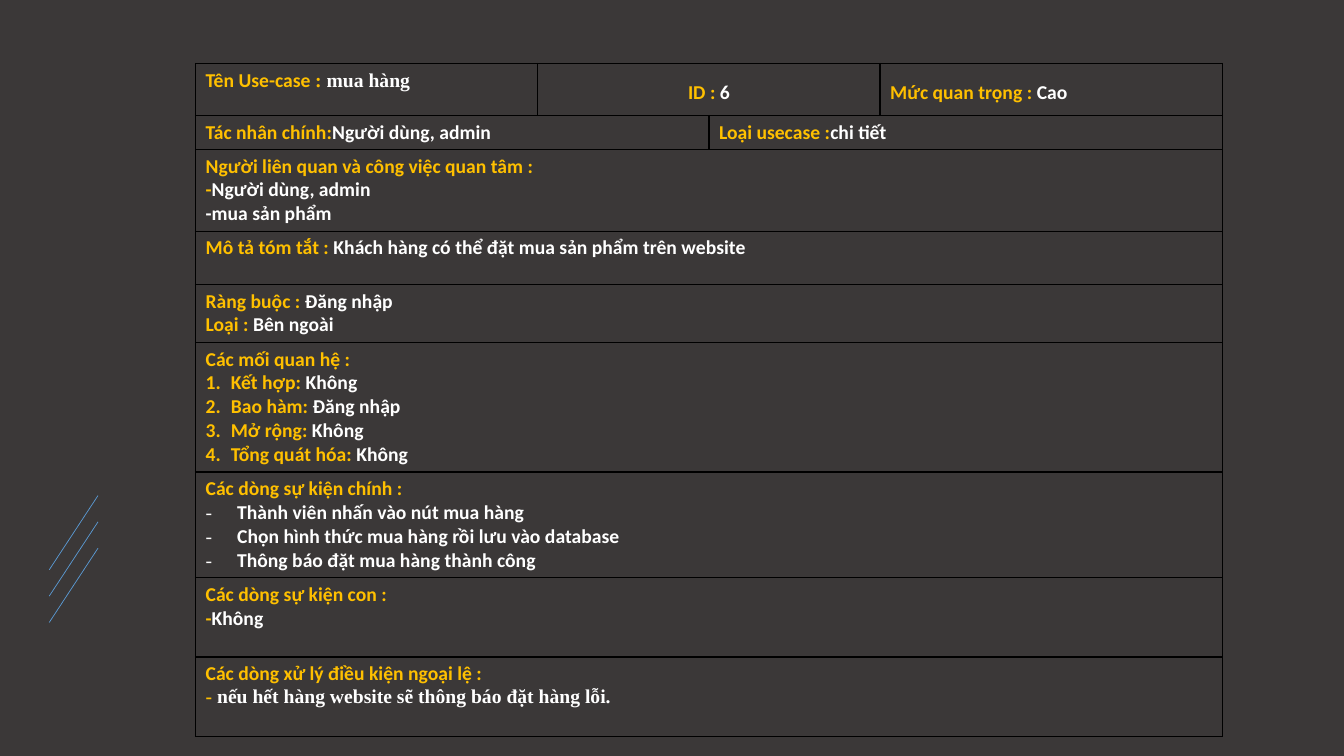
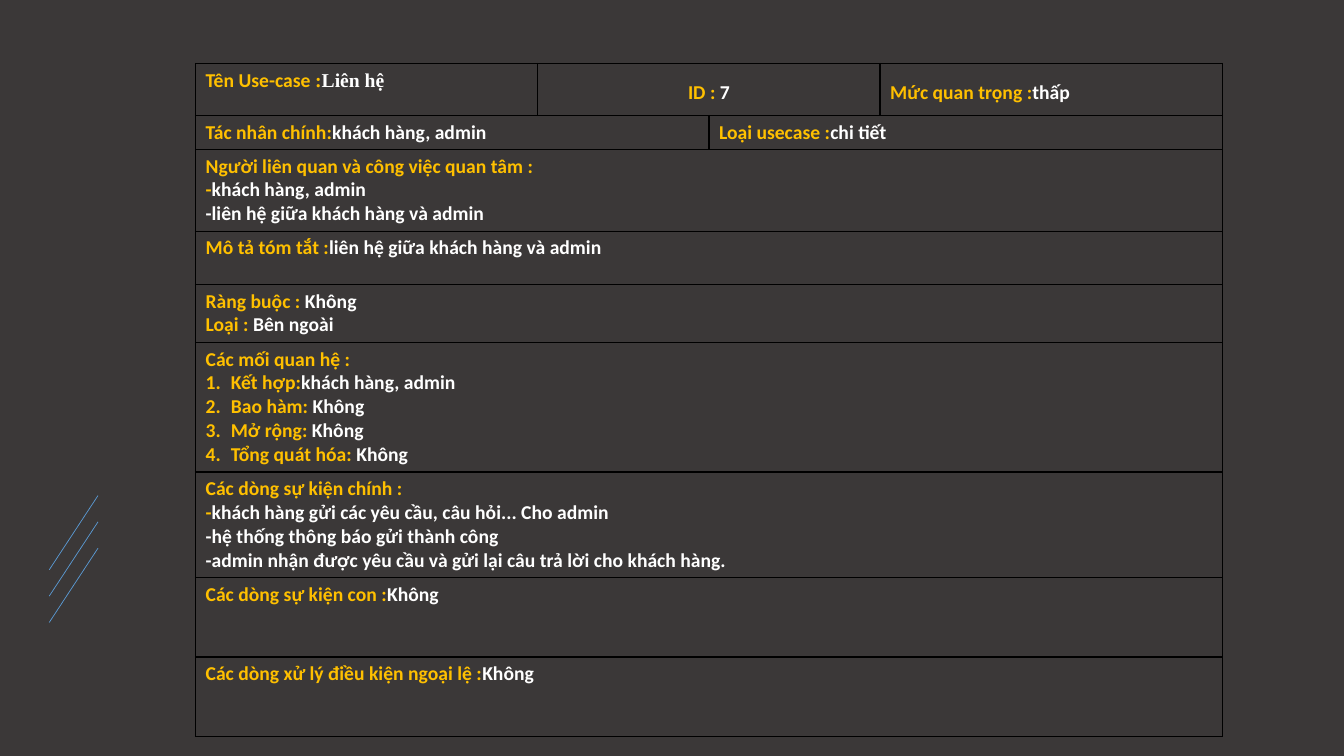
from dataclasses import dataclass
from typing import NamedTuple

from lxml.etree import SubElement
from pptx import Presentation
from pptx.dml.color import RGBColor
from pptx.enum.shapes import MSO_CONNECTOR
from pptx.enum.text import PP_ALIGN
from pptx.oxml.ns import qn
from pptx.util import Pt

BACK, GOLD, WHITE, BLACK, BLUE = "3B3838", "FFC000", "FFFFFF", "000000", "5B9BD5"
SANS, SERIF = "Calibri", "Times New Roman"
COLS = (244.5, 122.25, 122.25, 244.5)
ROWS = (37, 24.3, 58.5, 38, 41.4, 92.6, 75.5, 56.7, 56.7)
LEFT, TOP = 139.7, 45.4


class Run(NamedTuple):
    """A piece of text with one colour and font."""

    text: str
    hue: str = WHITE
    face: str = SANS


@dataclass
class Line:
    """A paragraph of runs with its bullet and spacing."""

    runs: list[Run]
    mark: str = ""
    tall: bool = False
    mid: bool = False


@dataclass
class Field:
    """A table cell with its row, column, span and lines."""

    row: int
    col: int
    span: int
    lines: list[Line]


@dataclass
class Case:
    """The values that differ between use cases."""

    name: str
    num: str
    rank: str
    actor: str
    aim: str
    brief: str
    limit: str
    links: tuple[str, ...]
    main: list[Line]
    sub: list[Line]
    fault: list[Line]


def color(code: str) -> RGBColor:
    """Turn a hex string into a colour."""
    return RGBColor.from_string(code)


def pair(label: str, value: str = "", mark: str = "", tall: bool = False, mid: bool = False) -> Line:
    """Make a line of a gold label and a white value."""
    runs = [Run(label, GOLD), Run(value)]
    return Line([run for run in runs if run.text], mark, tall, mid)


def plain(text: str, mark: str = "") -> Line:
    """Make a white line."""
    return Line([Run(text)], mark)


def fields(case: Case) -> list[Field]:
    """List the table cells of a use case."""
    name = Line([Run("Tên Use-case ", GOLD), Run(":", GOLD, SERIF), Run(case.name, WHITE, SERIF)])
    kinds = ("Kết hợp:", "Bao hàm: ", "Mở rộng: ", "Tổng quát hóa: ")
    links = [pair(kind, link, "1.") for kind, link in zip(kinds, case.links)]
    wide = [
        [pair("Người liên quan và công việc quan tâm :"), pair("-", case.actor), plain(case.aim)],
        [pair("Mô tả tóm tắt :", case.brief)],
        [pair("Ràng buộc : ", case.limit), pair("Loại : ", "Bên ngoài")],
        [pair("Các mối quan hệ :"), *links],
        [pair("Các dòng sự kiện chính :"), *case.main],
        case.sub,
        case.fault,
    ]
    return [
        Field(0, 0, 1, [name]),
        Field(0, 1, 2, [pair("ID : ", case.num, tall=True, mid=True)]),
        Field(0, 3, 1, [pair("Mức quan trọng :", case.rank, tall=True)]),
        Field(1, 0, 2, [pair("Tác nhân chính:", case.actor)]),
        Field(1, 2, 2, [pair("Loại usecase :", "chi tiết")]),
        *[Field(row, 0, 4, lines) for row, lines in enumerate(wide, 2)],
    ]


def bullet(para, mark: str) -> None:
    """Give a paragraph a number or dash with a hanging indent."""
    props = para._p.get_or_add_pPr()
    gap = Pt(18 if mark == "1." else 22.5)
    props.set("marL", str(gap))
    props.set("indent", str(-gap))
    if mark == "1.":
        SubElement(props, qn("a:buFont"), typeface="+mj-lt")
        SubElement(props, qn("a:buAutoNum"), type="arabicPeriod")
    else:
        SubElement(props, qn("a:buFont"), typeface=SERIF)
        SubElement(props, qn("a:buChar"), char=mark)


def write(frame, lines: list[Line]) -> None:
    """Fill a text frame with lines."""
    for pos, line in enumerate(lines):
        para = frame.add_paragraph() if pos else frame.paragraphs[0]
        if line.tall:
            para.line_spacing = 1.5
        if line.mid:
            para.alignment = PP_ALIGN.CENTER
        if line.mark:
            bullet(para, line.mark)
        for part in line.runs:
            run = para.add_run()
            run.text = part.text
            run.font.size = Pt(14)
            run.font.bold = True
            run.font.name = part.face
            run.font.color.rgb = color(part.hue)


def border(cell) -> None:
    """Draw black lines round a clear cell."""
    props = cell._tc.get_or_add_tcPr()
    for side in ("lnL", "lnR", "lnT", "lnB"):
        edge = SubElement(props, qn(f"a:{side}"), w=str(Pt(1)))
        fill = SubElement(edge, qn("a:solidFill"))
        SubElement(fill, qn("a:srgbClr"), val=BLACK)
    cell.fill.background()


def grid(slide, case: Case) -> None:
    """Add the table of a use case."""
    table = slide.shapes.add_table(
        len(ROWS), len(COLS), Pt(LEFT), Pt(TOP), Pt(sum(COLS)), Pt(sum(ROWS))
    ).table
    table.first_row = table.horz_banding = False
    for col, width in zip(table.columns, COLS):
        col.width = Pt(width)
    for row, height in zip(table.rows, ROWS):
        row.height = Pt(height)
    for cell in table.iter_cells():
        border(cell)
    for item in fields(case):
        cell = table.cell(item.row, item.col)
        if item.span > 1:
            cell.merge(table.cell(item.row, item.col + item.span - 1))
        write(cell.text_frame, item.lines)


def theme(deck, slide) -> None:
    """Set the master background and its slanted lines."""
    master = deck.slide_master
    master.background.fill.solid()
    master.background.fill.fore_color.rgb = color(BACK)
    for step in range(3):
        drop = step * 18.8
        line = slide.shapes.add_connector(
            MSO_CONNECTOR.STRAIGHT, Pt(35.2), Pt(407 + drop), Pt(70), Pt(354 + drop)
        )
        line.line.color.rgb = color(BLUE)
        line.line.width = Pt(0.5)
        SubElement(line.element.spPr, qn("a:effectLst"))
        master.shapes.element.append(line.element)


SUB, FAULT = "Các dòng sự kiện con :", "Các dòng xử lý điều kiện ngoại lệ :"
CASES = (
    Case(
        " mua hàng", "6", " Cao", "Người dùng, admin", "-mua sản phẩm",
        " Khách hàng có thể đặt mua sản phẩm trên website", "Đăng nhập",
        (" Không", "Đăng nhập", "Không", "Không"),
        [
            plain("Thành viên nhấn vào nút mua hàng", "-"),
            plain("Chọn hình thức mua hàng rồi lưu vào database", "-"),
            plain("Thông báo đặt mua hàng thành công", "-"),
        ],
        [pair(SUB), pair("-", "Không")],
        [
            pair(FAULT),
            Line([
                Run("- ", GOLD, SERIF),
                Run("nếu hết hàng website sẽ thông báo đặt hàng lỗi.", WHITE, SERIF),
            ]),
        ],
    ),
    Case(
        "Liên hệ", "7", "thấp", "khách hàng, admin", "-liên hệ giữa khách hàng và admin",
        "liên hệ giữa khách hàng và admin", "Không",
        ("khách hàng, admin", "Không", "Không", "Không"),
        [
            pair("-", "khách hàng gửi các yêu cầu, câu hỏi... Cho admin"),
            plain("-hệ thống thông báo gửi thành công"),
            plain("-admin nhận được yêu cầu và gửi lại câu trả lời cho khách hàng."),
        ],
        [pair(SUB, "Không")],
        [pair(FAULT, "Không")],
    ),
)


def main() -> None:
    """Build and save the deck."""
    deck = Presentation()
    deck.slide_width, deck.slide_height = Pt(960), Pt(540)
    slides = [deck.slides.add_slide(deck.slide_layouts[6]) for _ in CASES]
    theme(deck, slides[0])
    for slide, case in zip(slides, CASES):
        grid(slide, case)
    deck.save("out.pptx")


if __name__ == "__main__":
    main()
